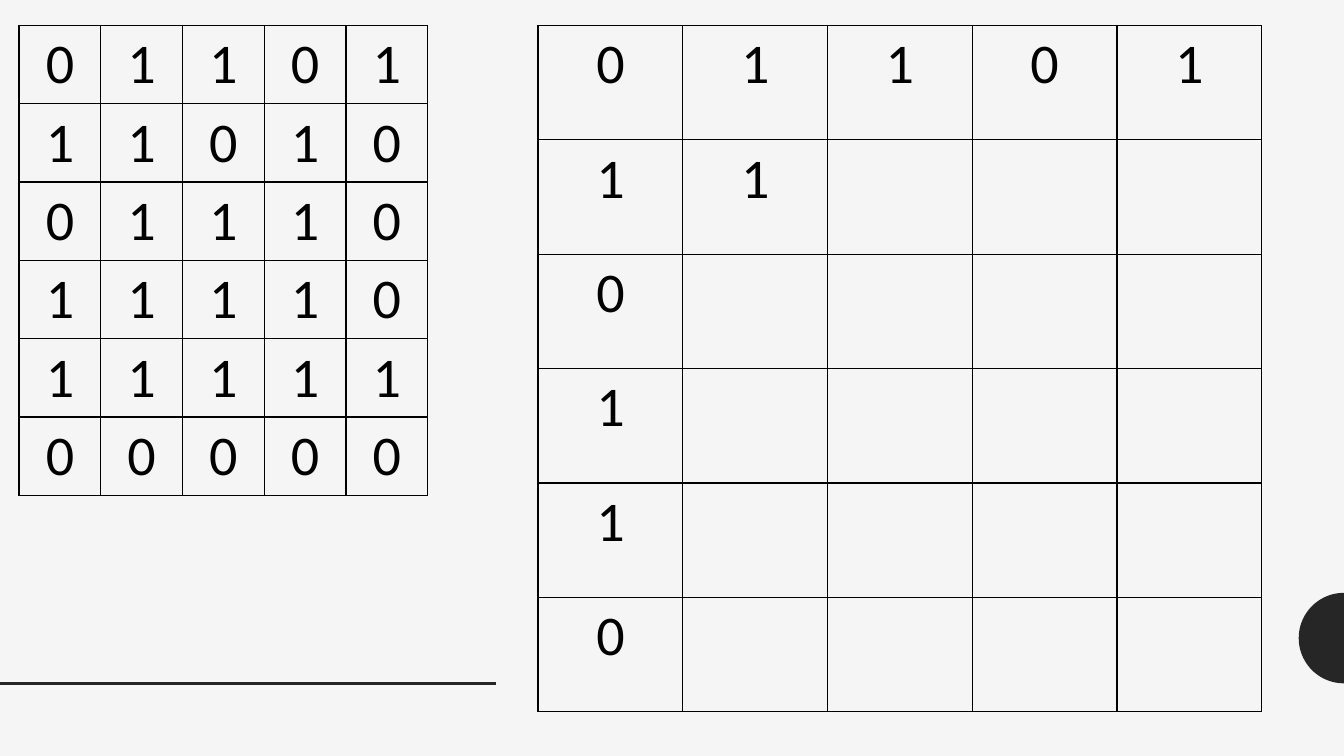
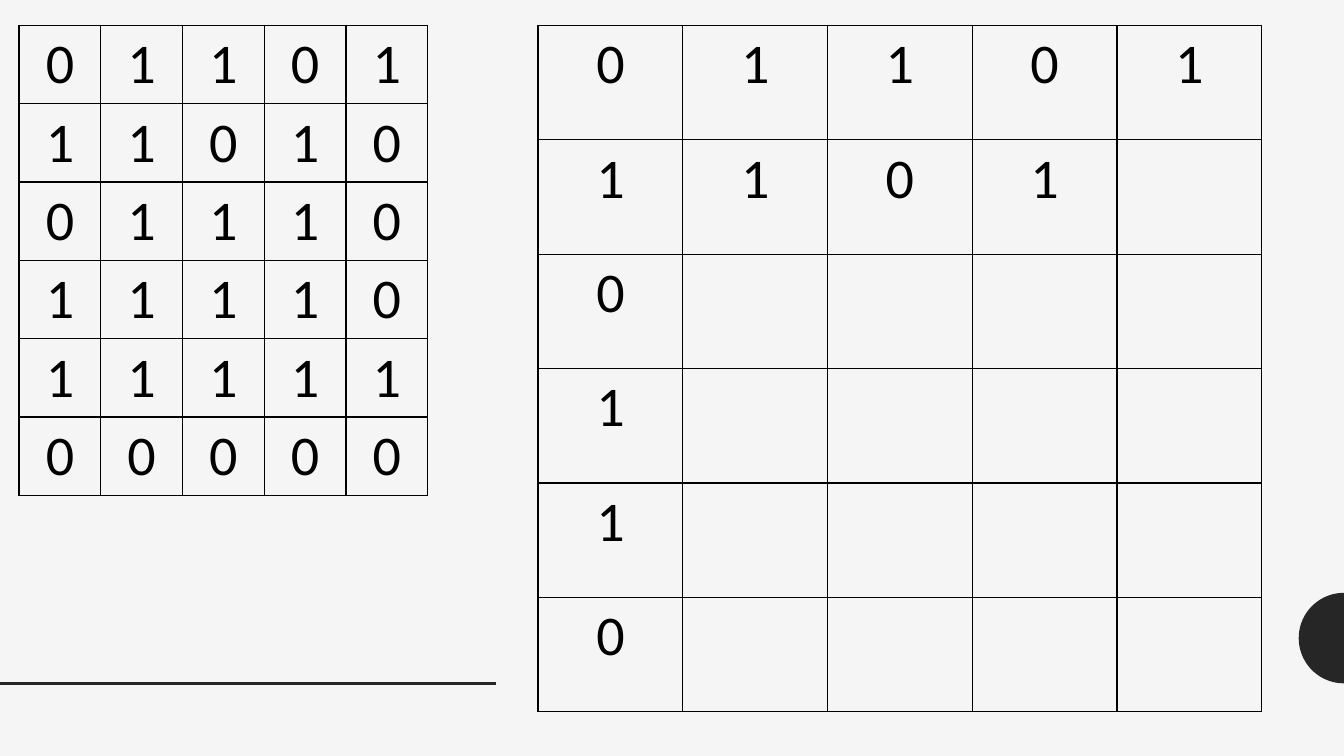
from dataclasses import dataclass
from math import cos, pi, sin

from lxml import etree
from pptx import Presentation
from pptx.dml.color import RGBColor
from pptx.enum.shapes import MSO_CONNECTOR
from pptx.enum.text import PP_ALIGN
from pptx.oxml.ns import qn
from pptx.util import Cm, Pt

STRAIGHT = MSO_CONNECTOR.STRAIGHT
CENTER = PP_ALIGN.CENTER


@dataclass(frozen=True)
class Theme:
    paper: RGBColor = RGBColor(0xF5, 0xF5, 0xF5)
    accent: RGBColor = RGBColor(0x26, 0x26, 0x26)
    ink: RGBColor = RGBColor(0, 0, 0)
    font: str = "Calibri"
    digit: Pt = Pt(40)
    grid: Pt = Pt(1)
    rule: Pt = Pt(2)


@dataclass(frozen=True)
class Box:
    left: float
    top: float
    width: float
    height: float


THEME = Theme()
PAGE = Box(0, 0, 33.87, 19.05)
MATRIX_BOX = Box(0.48, 0.64, 10.3, 11.68)
SQUARES_BOX = Box(13.56, 0.64, 18.24, 17.3)
BASELINE = 17.22
RULE_LENGTH = 12.5
DISC_RADIUS = 1.14

MATRIX = ["01101", "11010", "01110", "11110", "11111", "00000"]
SOLVED_IN_SECOND_ROW = [2, 4]
DIGIT_FORMAT = {"name": THEME.font, "size": THEME.digit}


def move_to_master(master, ornament):
    tree = master.shapes.element
    ids = [int(item.get("id")) for item in tree.iter(qn("p:cNvPr"))]
    ornament.element.xpath(".//p:cNvPr")[0].set("id", str(max(ids) + 1))
    tree.append(ornament.element)


def half_disc(slide, box):
    right = box.left + box.width
    middle = box.top + DISC_RADIUS
    steps = 48
    arc = [
        (Cm(right - DISC_RADIUS * sin(pi * step / steps)),
         Cm(middle - DISC_RADIUS * cos(pi * step / steps)))
        for step in range(steps + 1)
    ]
    outline = slide.shapes.build_freeform(*arc[0])
    outline.add_line_segments(arc[1:], close=True)
    disc = outline.convert_to_shape()
    disc.shadow.inherit = False
    disc.fill.solid()
    disc.fill.fore_color.rgb = THEME.accent
    disc.line.fill.background()
    return disc


def bottom_rule(slide, box):
    y = Cm(box.top)
    rule = slide.shapes.add_connector(
        STRAIGHT, Cm(box.left), y, Cm(box.left + box.width), y)
    rule.line.color.rgb = THEME.accent
    rule.line.width = THEME.rule
    etree.SubElement(rule.element.spPr, qn("a:effectLst"))
    return rule


def decorate_master(master, slide):
    master.background.fill.solid()
    master.background.fill.fore_color.rgb = THEME.paper
    disc_box = Box(PAGE.width - DISC_RADIUS, BASELINE - 2 * DISC_RADIUS,
                   DISC_RADIUS, 2 * DISC_RADIUS)
    move_to_master(master, half_disc(slide, disc_box))
    move_to_master(master, bottom_rule(slide, Box(0, BASELINE, RULE_LENGTH, 0)))


def draw_borders(cell):
    properties = cell._tc.get_or_add_tcPr()
    for index, side in enumerate(("lnL", "lnR", "lnT", "lnB")):
        border = etree.Element(qn(f"a:{side}"), w=str(THEME.grid))
        fill = etree.SubElement(border, qn("a:solidFill"))
        etree.SubElement(fill, qn("a:srgbClr"), val=str(THEME.ink))
        properties.insert(index, border)


def write_digit(cell, digit):
    paragraph = cell.text_frame.paragraphs[0]
    paragraph.alignment = CENTER
    run = paragraph.add_run()
    run.text = digit
    for attribute, value in DIGIT_FORMAT.items():
        setattr(run.font, attribute, value)
    run.font.color.rgb = THEME.ink


def digit_grid(slide, box, rows):
    row_count, column_count = len(rows), len(rows[0])
    grid = slide.shapes.add_table(
        row_count, column_count,
        Cm(box.left), Cm(box.top), Cm(box.width), Cm(box.height)).table
    grid.first_row = False
    grid.horz_banding = False
    for r, digits in enumerate(rows):
        for c, digit in enumerate(digits):
            cell = grid.cell(r, c)
            cell.fill.background()
            draw_borders(cell)
            if digit:
                write_digit(cell, digit)


def largest_squares(solved):
    return [
        [digit if r == 0 or c == 0 or (r == 1 and c < solved) else ""
         for c, digit in enumerate(digits)]
        for r, digits in enumerate(MATRIX)
    ]


def step_slide(deck, solved):
    slide = deck.slides.add_slide(deck.slide_layouts[6])
    digit_grid(slide, MATRIX_BOX, MATRIX)
    digit_grid(slide, SQUARES_BOX, largest_squares(solved))
    return slide


deck = Presentation()
deck.slide_width = Cm(PAGE.width)
deck.slide_height = Cm(PAGE.height)
steps = [step_slide(deck, solved) for solved in SOLVED_IN_SECOND_ROW]
decorate_master(deck.slide_master, steps[0])
deck.save("out.pptx")
